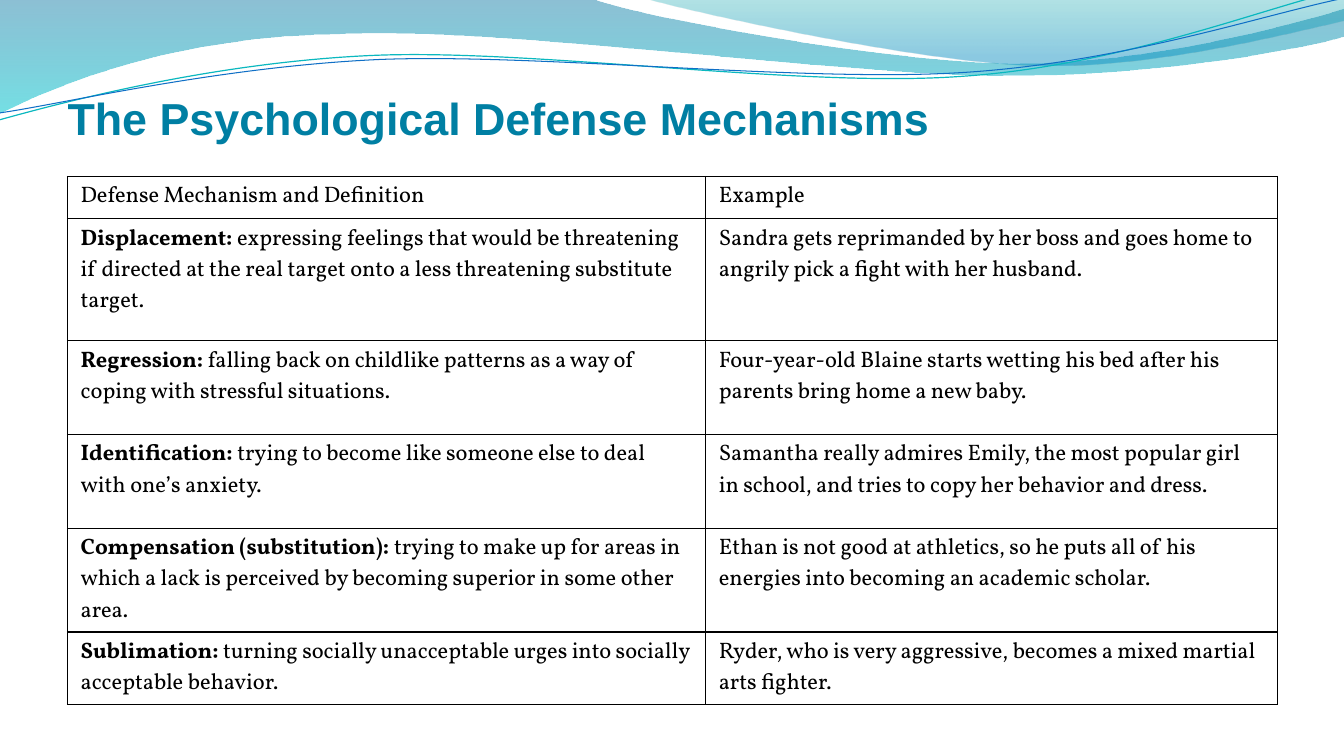
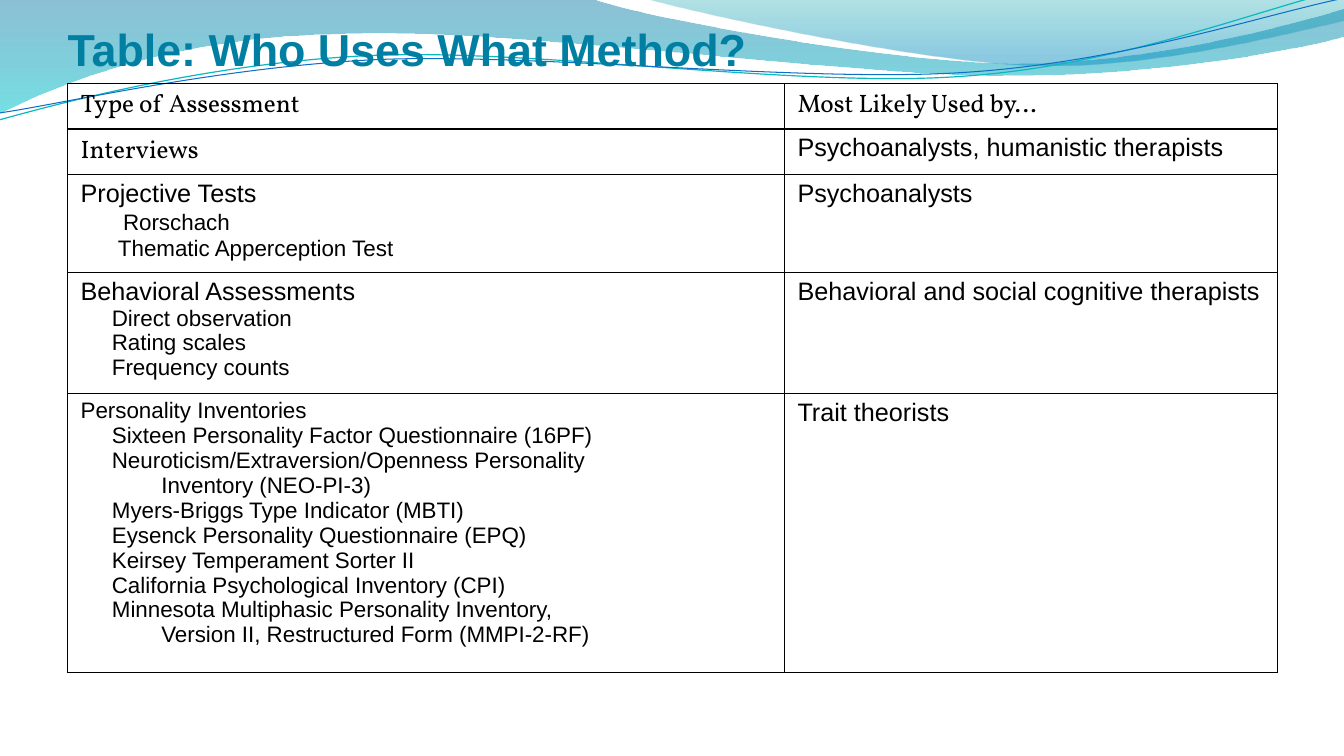
from dataclasses import dataclass

from lxml.etree import SubElement
from pptx import Presentation
from pptx.dml.color import RGBColor
from pptx.enum.text import MSO_ANCHOR
from pptx.oxml import parse_xml
from pptx.oxml.ns import nsdecls, qn
from pptx.util import Inches, Pt


@dataclass(frozen=True)
class Theme:
    title_color: RGBColor = RGBColor.from_string("007FA3")
    text_color: RGBColor = RGBColor.from_string("000000")
    border: str = "000000"
    border_width: Pt = Pt(1)
    sans: str = "Arial"
    serif: str = "Vollkorn"
    title_size: Pt = Pt(32)
    large: Pt = Pt(18)
    small: Pt = Pt(16)
    left: float = 0.67
    top: float = 0.24
    width: float = 12


THEME = Theme()

# Outlines: a start point, then lines (x, y) or Bézier curves (three points in a row)
# Gradient stops: position, colour, opacity in percent
BANDS = [
    ([(0, 0), (5.87, -0.01),
      (6.34, 0.17, 8.85, 0.63, 10.11, 0.63), (11.38, 0.63, 12.78, 0.26, 13.33, 0.09),
      (13.35, 0.36),
      (13.11, 0.44, 11.6, 0.76, 9.94, 0.75), (8.29, 0.75, 5.09, 0.28, 3.43, 0.34),
      (1.72, 0.36, 0.61, 0.83, -0.01, 1.13), (0, 0)],
     [(0, "0074A1", 45), (1, "00C6CF", 55)]),
    ([(6.39, -0.01),
      (6.79, 0.11, 9.09, 0.62, 10.25, 0.65), (11.41, 0.69, 12.82, 0.32, 13.33, 0.21),
      (13.33, 0), (6.39, -0.01)],
     [(0, "00A1A9", 30), (0.8, "008BBF", 45)]),
]
WAVE_LINES = [
    ([(-0.01, 1.19),
      (0.64, 1.01, 2.11, 0.62, 3.69, 0.55), (5.27, 0.48, 7.9, 0.87, 9.5, 0.76),
      (11.1, 0.66, 12.52, 0.08, 13.31, -0.1)], "0AB8BF", 0.85),
    ([(0, 1.12),
      (0.63, 1.03, 2.18, 0.66, 3.78, 0.59), (5.37, 0.53, 7.96, 0.82, 9.55, 0.72),
      (11.15, 0.62, 12.55, 0.14, 13.34, -0.02)], "0F6FC6", 0.75),
]

MECHANISMS_HEADER = ("Defense Mechanism and Definition", "Example")
MECHANISMS = [
    ("Displacement: ",
     "expressing feelings that would be threatening if directed at the real target "
     "onto a less threatening substitute target.",
     "Sandra gets reprimanded by her boss and goes home to angrily pick a fight with her husband."),
    ("Regression: ",
     "falling back on childlike patterns as a way of coping with stressful situations.",
     "Four-year-old Blaine starts wetting his bed after his parents bring home a new baby."),
    ("Identification: ",
     "trying to become like someone else to deal with one’s anxiety.",
     "Samantha really admires Emily, the most popular girl in school, and tries to copy "
     "her behavior and dress."),
    ("Compensation (substitution): ",
     "trying to make up for areas in which a lack is perceived by becoming superior "
     "in some other area.",
     "Ethan is not good at athletics, so he puts all of his energies into becoming "
     "an academic scholar."),
    ("Sublimation: ",
     "turning socially unacceptable urges into socially acceptable behavior.",
     "Ryder, who is very aggressive, becomes a mixed martial arts fighter."),
]

METHODS_HEADER = ("Type of Assessment", "Most Likely Used by…")
# Assessment, its font and size, listed tests (indent, points of space before), users
METHODS = [
    ("Interviews", THEME.serif, THEME.large, [],
     "Psychoanalysts, humanistic therapists"),
    ("Projective Tests", THEME.sans, THEME.large,
     [("Rorschach", 0.42, 2), ("Thematic Apperception Test", 0.37, 1)],
     "Psychoanalysts"),
    ("Behavioral Assessments", THEME.sans, THEME.large,
     [(test, 0.31, 0) for test in (
         "Direct observation", "Rating scales", "Frequency counts")],
     "Behavioral and social cognitive therapists"),
    ("Personality Inventories", THEME.sans, THEME.small,
     [(test, 0.31, 0) for test in (
         "Sixteen Personality Factor Questionnaire (16PF)",
         "Neuroticism/Extraversion/Openness Personality\vInventory (NEO-PI-3)",
         "Myers-Briggs Type Indicator (MBTI)",
         "Eysenck Personality Questionnaire (EPQ)",
         "Keirsey Temperament Sorter II",
         "California Psychological Inventory (CPI)",
         "Minnesota Multiphasic Personality Inventory,\vVersion II, Restructured Form (MMPI-2-RF)",
     )],
     "Trait theorists"),
]
CONTINUATION = 0.49  # further indent of a test name's second line


def add_outline(slide, outline, close):
    """Lay every point as a corner, then join each curve's three points into a Bézier."""
    start, *segments = [
        [(Inches(x), Inches(y)) for x, y in zip(part[::2], part[1::2])] for part in outline]
    builder = slide.shapes.build_freeform(*start[0])
    builder.add_line_segments([point for part in segments for point in part], close=close)
    shape = builder.convert_to_shape()
    shape.shadow.inherit = False
    corners = iter(list(shape.element.iter(qn("a:lnTo"))))
    for part in segments:
        group = [next(corners) for _ in part]
        if len(group) == 3:
            curve = parse_xml(f'<a:cubicBezTo {nsdecls("a")}/>')
            group[0].addprevious(curve)
            for corner in group:
                curve.append(corner[0])
                corner.getparent().remove(corner)
    return shape


def add_waves(slide):
    for outline, stops in BANDS:
        band = add_outline(slide, outline, close=True)
        band.line.fill.background()
        band.fill.gradient()
        band.fill.gradient_angle = 270
        for stop, (position, color, _) in zip(band.fill.gradient_stops, stops):
            stop.position = position
            stop.color.rgb = RGBColor.from_string(color)
        for color_xml, (_, _, opacity) in zip(band.element.iter(qn("a:srgbClr")), stops):
            SubElement(color_xml, qn("a:alpha")).set("val", str(opacity * 1000))
    for outline, color, width in WAVE_LINES:
        wave = add_outline(slide, outline, close=False)
        wave.fill.background()
        wave.line.color.rgb = RGBColor.from_string(color)
        wave.line.width = Pt(width)


def set_font(part, name, size, color=THEME.text_color, bold=None):
    """Set the font of a paragraph or a run."""
    font = part.font
    font.name, font.size, font.bold = name, size, bold
    font.color.rgb = color


def add_titled_slide(deck, title, title_height):
    slide = deck.slides.add_slide(deck.slide_layouts[6])
    add_waves(slide)
    box = slide.shapes.add_textbox(Inches(THEME.left), Inches(THEME.top),
                                   Inches(THEME.width), Inches(title_height))
    frame = box.text_frame
    frame.word_wrap = True
    frame.vertical_anchor = MSO_ANCHOR.BOTTOM
    frame.margin_left = frame.margin_right = frame.margin_top = frame.margin_bottom = 0
    heading = frame.paragraphs[0]
    heading.text = title
    set_font(heading, THEME.sans, THEME.title_size, THEME.title_color, True)
    return slide


def add_grid(slide, top, column_widths, row_heights):
    """Add an unfilled table with a thin border around every cell."""
    frame = slide.shapes.add_table(len(row_heights), len(column_widths),
                                   Inches(THEME.left), Inches(top),
                                   Inches(THEME.width), Inches(sum(row_heights)))
    table = frame.table
    table.first_row = table.horz_banding = False
    for column, width in zip(table.columns, column_widths):
        column.width = Inches(width)
    for row, height in zip(table.rows, row_heights):
        row.height = Inches(height)
    for cell in table.iter_cells():
        cell.fill.background()
        cell.margin_left = cell.margin_right = Inches(0.13)
        cell.margin_top = cell.margin_bottom = Inches(0.05)
    for properties in frame.element.iter(qn("a:tcPr")):
        for index, side in enumerate(("lnL", "lnR", "lnT", "lnB")):
            properties.insert(index, parse_xml(
                f'<a:{side} {nsdecls("a")} w="{THEME.border_width}"><a:solidFill>'
                f'<a:srgbClr val="{THEME.border}"/></a:solidFill></a:{side}>'))
    return table


def write(paragraph, text, font, size):
    """Fill a cell paragraph; row heights follow the fonts of runs and line breaks."""
    paragraph.text = text
    for run in paragraph.runs:
        set_font(run, font, size)
    for line_break in paragraph._p.iter(qn("a:br")):
        SubElement(line_break, qn("a:rPr")).set("sz", str(int(size.pt * 100)))


def write_cell(cell, text, font, size):
    write(cell.text_frame.paragraphs[0], text, font, size)


def write_header(table, labels, size):
    for column, label in enumerate(labels):
        write_cell(table.cell(0, column), label, THEME.serif, size)


def add_test(cell, test, indent, space_before):
    paragraph = cell.text_frame.add_paragraph()
    write(paragraph, test, THEME.sans, THEME.small)
    paragraph.space_before = Pt(space_before)
    hanging = CONTINUATION if "\v" in test else 0
    properties = paragraph._p.get_or_add_pPr()
    properties.set("marL", str(Inches(indent + hanging)))
    properties.set("indent", str(-Inches(hanging)))


def add_mechanisms_slide(deck):
    slide = add_titled_slide(deck, "The Psychological Defense Mechanisms", 1.19)
    table = add_grid(slide, 1.75, (6.33, 5.67), (0.42, 1.21, 0.93, 0.93, 1.03, 0.72))
    write_header(table, MECHANISMS_HEADER, THEME.small)
    for row, (term, definition, example) in enumerate(MECHANISMS, 1):
        meaning = table.cell(row, 0).text_frame.paragraphs[0]
        write(meaning, term, THEME.serif, THEME.small)
        meaning.runs[0].font.bold = True
        explanation = meaning.add_run()
        explanation.text = definition
        set_font(explanation, THEME.serif, THEME.small)
        write_cell(table.cell(row, 1), example, THEME.serif, THEME.small)


def add_methods_slide(deck):
    slide = add_titled_slide(deck, "Table: Who Uses What Method?", 0.51)
    table = add_grid(slide, 0.83, (7.11, 4.89), (0.45, 0.45, 0.91, 1.12, 2.57))
    write_header(table, METHODS_HEADER, THEME.large)
    for row, (assessment, font, size, tests, users) in enumerate(METHODS, 1):
        write_cell(table.cell(row, 0), assessment, font, size)
        for test in tests:
            add_test(table.cell(row, 0), *test)
        write_cell(table.cell(row, 1), users, THEME.sans, THEME.large)


def main():
    deck = Presentation()
    deck.slide_width, deck.slide_height = Inches(13.33), Inches(7.5)
    add_mechanisms_slide(deck)
    add_methods_slide(deck)
    deck.save("out.pptx")


if __name__ == "__main__":
    main()
